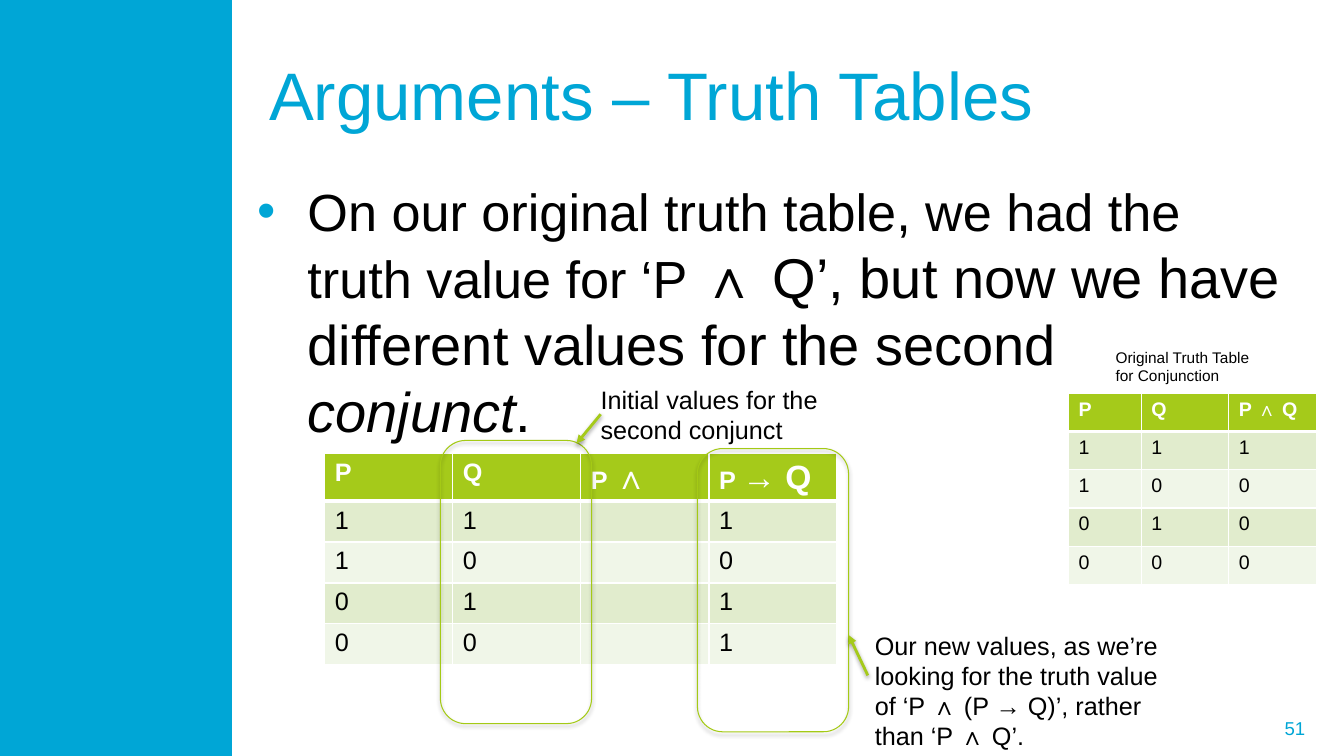
import dataclasses

import lxml.etree
import pptx
import pptx.dml.color
import pptx.enum.shapes
import pptx.enum.text
import pptx.oxml.ns
import pptx.util

Pt = pptx.util.Pt
RGBColor = pptx.dml.color.RGBColor
qn = pptx.oxml.ns.qn


@dataclasses.dataclass(frozen=True)
class Theme:
    font: str = "Arial"
    blue: str = "00A6D6"
    green: str = "A5CA1A"
    outline: str = "A4CA15"
    bands: tuple = ("E1ECCD", "F0F6E8")
    black: str = "000000"
    white: str = "FFFFFF"
    title: float = 48
    body: float = 37.3
    body_large: float = 40
    symbol: float = 24
    note: float = 18
    small_table: float = 14
    page_number: float = 13.3
    caption: float = 11


theme = Theme()


def add_text(paragraph, text, size, color=theme.black, bold=False, italic=False):
    """Append one formatted run to the paragraph."""
    run = paragraph.add_run()
    run.text = text
    run.font.name = theme.font
    run.font.size = Pt(size)
    run.font.bold = bold
    run.font.italic = italic
    run.font.color.rgb = RGBColor.from_string(color)


def add_shadow(shape, distance, opacity):
    """Give the shape a soft black shadow straight below it."""
    effects = lxml.etree.SubElement(shape.element.spPr, qn("a:effectLst"))
    shadow = lxml.etree.SubElement(
        effects, qn("a:outerShdw"), blurRad=str(Pt(3.1)), dist=str(Pt(distance)),
        dir="5400000", rotWithShape="0")
    black = lxml.etree.SubElement(shadow, qn("a:srgbClr"), val=theme.black)
    lxml.etree.SubElement(black, qn("a:alpha"), val=str(opacity * 1000))


presentation = pptx.Presentation()
presentation.slide_width = Pt(960)
presentation.slide_height = Pt(540)
slide = presentation.slides.add_slide(presentation.slide_layouts[1])
shapes = slide.shapes

# Side band
band = shapes.add_shape(pptx.enum.shapes.MSO_SHAPE.RECTANGLE, 0, 0, Pt(165.6), Pt(540))
band.shadow.inherit = False
band.fill.solid()
band.fill.fore_color.rgb = RGBColor.from_string(theme.blue)
band.line.fill.background()

# Title and body
title = shapes.title
title.left, title.top, title.width, title.height = Pt(185), Pt(21.6), Pt(746), Pt(90)
title.text_frame.vertical_anchor = pptx.enum.text.MSO_ANCHOR.MIDDLE
title.text_frame.auto_size = pptx.enum.text.MSO_AUTO_SIZE.NONE
paragraph = title.text_frame.paragraphs[0]
paragraph.alignment = pptx.enum.text.PP_ALIGN.LEFT
add_text(paragraph, "Arguments – Truth Tables", theme.title, color=theme.blue)

body = slide.placeholders[1]
body.left, body.top, body.width, body.height = Pt(176.4), Pt(124.6), Pt(755.3), Pt(183.6)
body.text_frame.auto_size = pptx.enum.text.MSO_AUTO_SIZE.NONE
paragraph = body.text_frame.paragraphs[0]
properties = paragraph._p.get_or_add_pPr()
properties.set("marL", str(Pt(36)))
properties.set("indent", str(-Pt(36)))
bullet_color = lxml.etree.SubElement(properties, qn("a:buClr"))
lxml.etree.SubElement(bullet_color, qn("a:srgbClr"), val=theme.blue)
lxml.etree.SubElement(properties, qn("a:buFont"), typeface=theme.font)
lxml.etree.SubElement(properties, qn("a:buChar"), char="•")
paragraph.space_before = Pt(0)
paragraph.line_spacing = 1.0
add_text(paragraph, "On our original truth table, we had the truth value for ‘P ", theme.body)
add_text(paragraph, "∧ Q’, but now we have different values for the second ", theme.body_large)
add_text(paragraph, "conjunct", theme.body_large, italic=True)
add_text(paragraph, ".", theme.body_large)

# Truth tables: each header cell is a list of (text, size) runs
truth_tables = [
    (232, 324, [91.5] * 4, 29.2, theme.note,
     [[("P", theme.note)], [("Q", theme.note)],
      [("P ", theme.note), ("∧", theme.symbol)],
      [("P ", theme.note), ("→ Q", theme.symbol)]],
     [("1", "1", "", "1"), ("1", "0", "", "0"), ("0", "1", "", "1"), ("0", "0", "", "1")]),
    (763.2, 281, [52, 62.6, 62.6], 27.3, theme.small_table,
     [[(text, theme.small_table)] for text in ("P", "Q", "P ∧ Q")],
     ["111", "100", "010", "000"]),
]
for left, top, widths, row_height, size, header, rows in truth_tables:
    table = shapes.add_table(
        len(rows) + 1, len(widths), Pt(left), Pt(top),
        Pt(sum(widths)), Pt(row_height * (len(rows) + 1))).table
    for column, width in zip(table.columns, widths):
        column.width = Pt(width)
    for column_index, runs in enumerate(header):
        cell = table.cell(0, column_index)
        bottom_border = lxml.etree.SubElement(
            cell._tc.get_or_add_tcPr(), qn("a:lnB"), w=str(Pt(3)))
        border_fill = lxml.etree.SubElement(bottom_border, qn("a:solidFill"))
        lxml.etree.SubElement(border_fill, qn("a:srgbClr"), val=theme.white)
        cell.fill.solid()
        cell.fill.fore_color.rgb = RGBColor.from_string(theme.green)
        for text, run_size in runs:
            add_text(cell.text_frame.paragraphs[0], text, run_size,
                     color=theme.white, bold=True)
    for row_index, values in enumerate(rows):
        for column_index, value in enumerate(values):
            cell = table.cell(row_index + 1, column_index)
            cell.fill.solid()
            cell.fill.fore_color.rgb = RGBColor.from_string(theme.bands[row_index % 2])
            if value:
                add_text(cell.text_frame.paragraphs[0], value, size)

# Highlighted columns
for left, top in [(314.6, 314.6), (498.2, 320.4)]:
    highlight = shapes.add_shape(
        pptx.enum.shapes.MSO_SHAPE.ROUNDED_RECTANGLE, Pt(left), Pt(top), Pt(108), Pt(202.3))
    highlight.fill.background()
    highlight.line.color.rgb = RGBColor.from_string(theme.outline)
    highlight.line.width = Pt(0.75)
    add_shadow(highlight, distance=1.8, opacity=35)

# Arrows from the notes to the highlighted columns
for ends in [(429.1, 295.9, 411.8, 316.8), (619.9, 482.4, 606.2, 453.6)]:
    arrow = shapes.add_connector(
        pptx.enum.shapes.MSO_CONNECTOR.STRAIGHT, *[Pt(end) for end in ends])
    arrow.line.color.rgb = RGBColor.from_string(theme.green)
    arrow.line.width = Pt(2)
    lxml.etree.SubElement(arrow.element.spPr.find(qn("a:ln")), qn("a:tailEnd"), type="triangle")
    add_shadow(arrow, distance=1.6, opacity=38)

# Notes and caption
notes = [
    (421.9, 270.7, 184.3, 51.1, theme.note, "Initial values for the second conjunct"),
    (617.8, 446.4, 229, 94.3, theme.note,
     "Our new values, as we’re looking for the truth value of ‘P ∧ (P → Q)’, "
     "rather than ‘P ∧ Q’."),
    (789.8, 244.8, 113.8, 33.8, theme.caption, "Original Truth Table for Conjunction"),
]
for left, top, width, height, size, text in notes:
    note = shapes.add_textbox(Pt(left), Pt(top), Pt(width), Pt(height))
    note.text_frame.word_wrap = True
    add_text(note.text_frame.paragraphs[0], text, size)

page_number = shapes.add_textbox(Pt(698.4), Pt(505.4), Pt(243.4), Pt(28.8))
frame = page_number.text_frame
frame.word_wrap = True
frame.vertical_anchor = pptx.enum.text.MSO_ANCHOR.MIDDLE
frame.margin_left = frame.margin_right = Pt(9.4)
frame.paragraphs[0].alignment = pptx.enum.text.PP_ALIGN.RIGHT
add_text(frame.paragraphs[0], "51", theme.page_number, color=theme.blue)

presentation.save("out.pptx")
